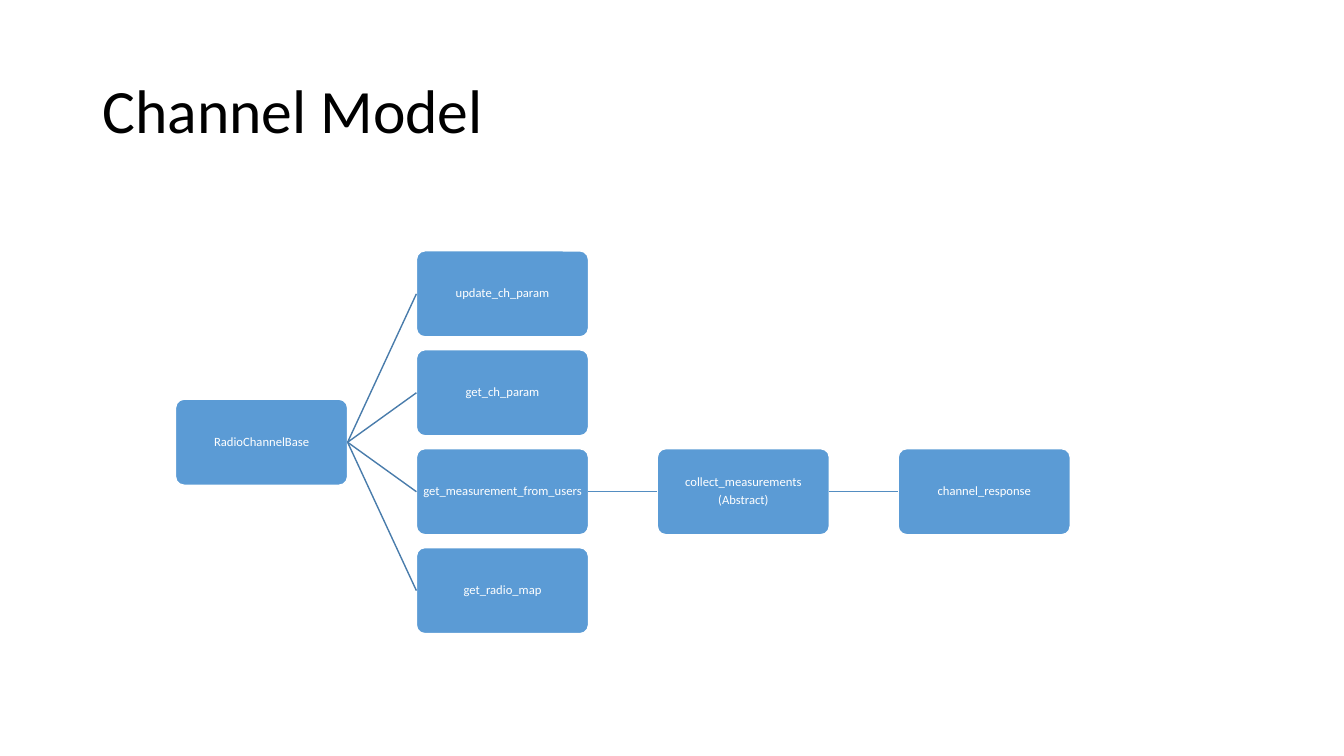
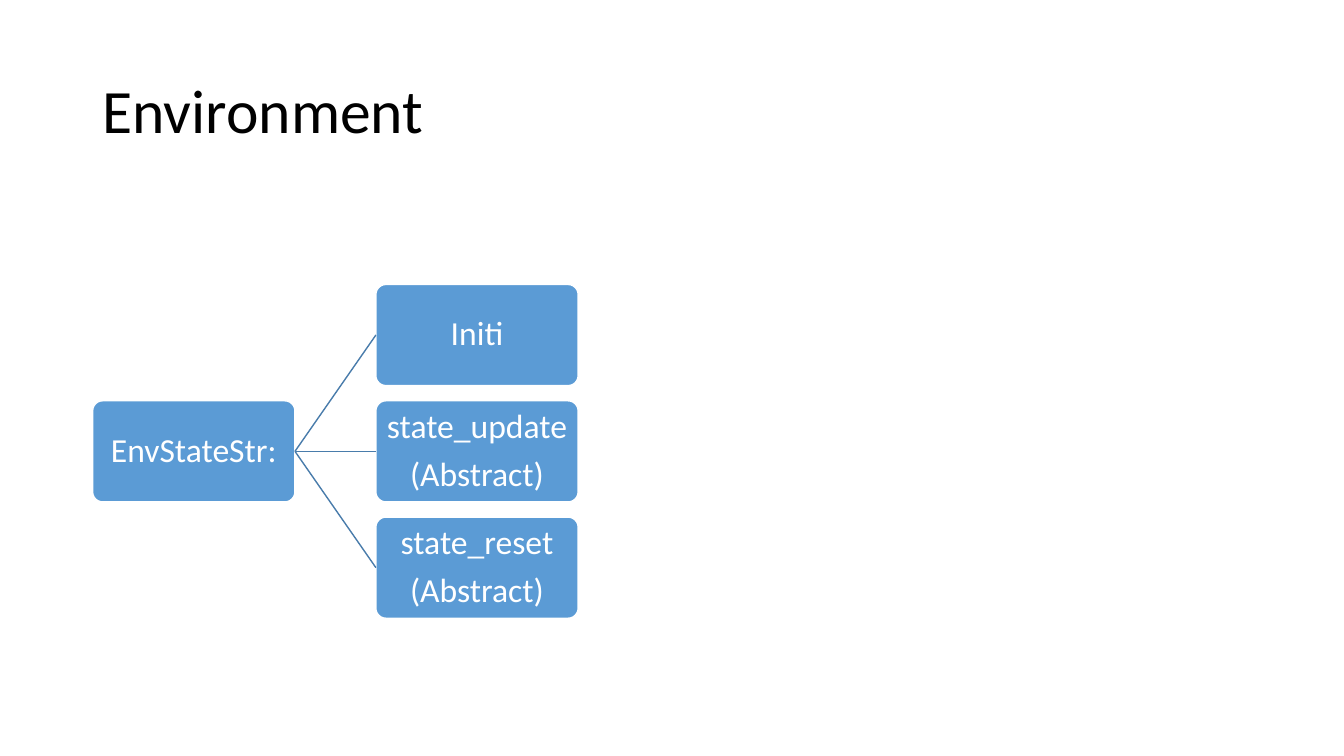
import dataclasses

import pptx
import pptx.dml.color
import pptx.enum.shapes
import pptx.enum.text
import pptx.oxml.ns
import pptx.util
from lxml import etree

Pt = pptx.util.Pt
Shape = pptx.enum.shapes.MSO_SHAPE
Align = pptx.enum.text.PP_ALIGN


@dataclasses.dataclass(frozen=True)
class Theme:
    font: str = "Calibri"
    title_color: str = "000000"
    box_fill: str = "5B9BD5"
    box_text: str = "FFFFFF"
    box_border: str = "FFFFFF"
    branch_colors: tuple = ("497CAB", "538DC1")
    title_size: float = 44
    line_width: float = 1
    line_spacing: float = 0.9


THEME = Theme()
PAGE_SIZE = (960, 540)
TITLE_AREA = (66, 28.8, 828, 104.4)
COLUMN_STEP = 1.4
ROW_STEP = 1.15
LEFT_SITE, RIGHT_SITE = 1, 3

PAGES = [
    {
        "title": "Channel Model",
        "left": 125.4, "middle": 315.9, "box_width": 122.9, "text_size": 9,
        "tree": (["RadioChannelBase"], [
            (["update_ch_param"], []),
            (["get_ch_param"], []),
            (["get_measurement_from_users"], [
                (["collect_measurements", "(Abstract)"], [
                    (["channel_response"], []),
                ]),
            ]),
            (["get_radio_map"], []),
        ]),
    },
    {
        "title": "Environment",
        "left": 66.2, "middle": 322.4, "box_width": 144.5, "text_size": 24,
        "tree": (["EnvStateStr:"], [
            (["Initi"], []),
            (["state_update", "(Abstract)"], []),
            (["state_reset", "(Abstract)"], []),
        ]),
    },
]


def rgb(value):
    return pptx.dml.color.RGBColor.from_string(value)


def write_text(frame, lines, *, size, color, align, margin=None, space_after=0):
    frame.word_wrap = True
    frame.auto_size = pptx.enum.text.MSO_AUTO_SIZE.NONE
    frame.vertical_anchor = pptx.enum.text.MSO_ANCHOR.MIDDLE
    if margin is not None:
        frame.margin_left = frame.margin_right = Pt(margin)
        frame.margin_top = frame.margin_bottom = Pt(margin)
    for index, line in enumerate(lines):
        para = frame.paragraphs[0] if index == 0 else frame.add_paragraph()
        para.alignment = align
        para.line_spacing = THEME.line_spacing
        para.space_before = Pt(0)
        para.space_after = Pt(space_after)
        span = para.add_run()
        span.text = line
        span.font.name = THEME.font
        span.font.size = Pt(size)
        span.font.color.rgb = rgb(color)


def add_title(page, text):
    title = page.shapes.title
    title.left, title.top, title.width, title.height = map(Pt, TITLE_AREA)
    write_text(title.text_frame, [text], size=THEME.title_size,
               color=THEME.title_color, align=Align.LEFT)


def add_box(page, lines, left, middle, width, size):
    height = width / 2
    box = page.shapes.add_shape(Shape.ROUNDED_RECTANGLE, Pt(left),
                                Pt(middle - height / 2), Pt(width), Pt(height))
    box.adjustments[0] = 0.1
    box.shadow.inherit = False
    box.fill.solid()
    box.fill.fore_color.rgb = rgb(THEME.box_fill)
    box.line.color.rgb = rgb(THEME.box_border)
    box.line.width = Pt(THEME.line_width)
    write_text(box.text_frame, lines, size=size, color=THEME.box_text,
               align=Align.CENTER, margin=size * 0.05, space_after=size * 0.35)
    return box


def add_branch(page, parent, child, color):
    branch = page.shapes.add_connector(
        pptx.enum.shapes.MSO_CONNECTOR.STRAIGHT, 0, 0, 0, 0)
    branch.begin_connect(parent, RIGHT_SITE)
    branch.end_connect(child, LEFT_SITE)
    branch.line.color.rgb = rgb(color)
    branch.line.width = Pt(THEME.line_width)
    properties = branch._element.find(pptx.oxml.ns.qn("p:spPr"))
    etree.SubElement(properties, pptx.oxml.ns.qn("a:effectLst"))


def add_tree(page, node, left, middle, width, size, level=0):
    lines, children = node
    box = add_box(page, lines, left, middle, width, size)
    row_step = width / 2 * ROW_STEP
    first_middle = middle - row_step * (len(children) - 1) / 2
    color = THEME.branch_colors[min(level, len(THEME.branch_colors) - 1)]
    for row, child in enumerate(children):
        child_box = add_tree(page, child, left + width * COLUMN_STEP,
                             first_middle + row * row_step, width, size, level + 1)
        add_branch(page, box, child_box, color)
    return box


def main():
    deck = pptx.Presentation()
    deck.slide_width, deck.slide_height = map(Pt, PAGE_SIZE)
    title_only = deck.slide_layouts.get_by_name("Title Only")
    for content in PAGES:
        page = deck.slides.add_slide(title_only)
        add_title(page, content["title"])
        add_tree(page, content["tree"], content["left"], content["middle"],
                 content["box_width"], content["text_size"])
    deck.save("out.pptx")


if __name__ == "__main__":
    main()
